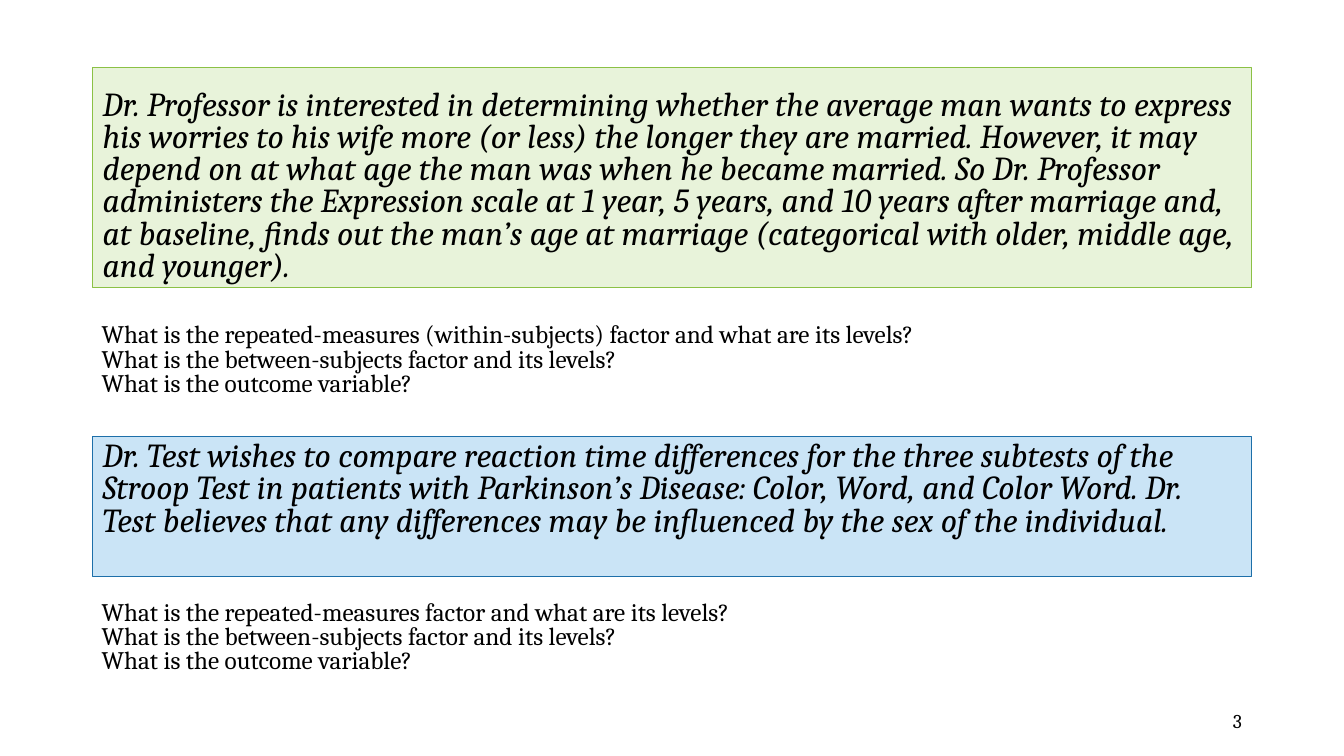
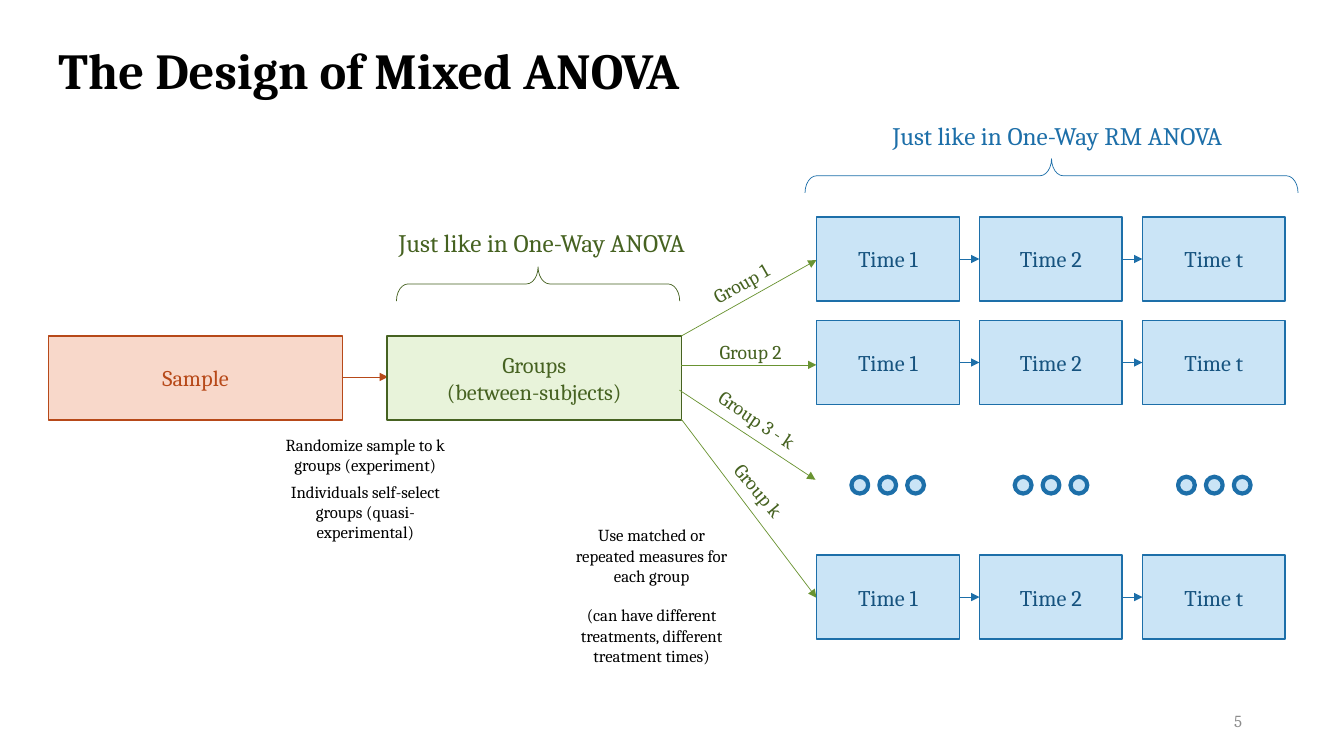
from dataclasses import dataclass
from pptx import Presentation
from pptx import util as u
from pptx.dml import color
from pptx.enum import shapes, text
from pptx.oxml import ns, xmlchemy

KIND = shapes.MSO_SHAPE
LEFT, CENTER, RIGHT = text.PP_ALIGN.LEFT, text.PP_ALIGN.CENTER, text.PP_ALIGN.RIGHT
TOP, MIDDLE = text.MSO_ANCHOR.TOP, text.MSO_ANCHOR.MIDDLE


@dataclass(frozen=True)
class Theme:
    # Colours
    black: str = "000000"
    grey: str = "8C8C8C"
    orange: str = "B74919"
    orange_pale: str = "F8D8CA"
    green: str = "8BC145"
    green_mid: str = "699331"
    green_dark: str = "466221"
    green_pale: str = "E8F3DA"
    blue: str = "1D6FA9"
    blue_dark: str = "16537F"
    blue_pale: str = "CAE4F6"
    # Type sizes
    font: str = "Cambria"
    title: int = 36
    case: int = 24
    body: int = 18
    box: int = 16
    label: int = 14
    note: int = 12


THEME = Theme()


def rgb(value):
    return color.RGBColor.from_string(value)


def assign(target, values):
    for name, value in values.items():
        setattr(target, name, value)


class Builder:
    """Holds the style and current page; lengths are cells of a 40 by 22.5 grid."""

    COLUMNS, ROWS = 40, 22.5

    def __init__(self, theme):
        self.theme = theme
        self.deck = Presentation()
        self.deck.slide_width, self.deck.slide_height = u.Inches(13.33), u.Inches(7.5)
        self.page = None

    def place(self, x, y):
        return (round(x * self.deck.slide_width / self.COLUMNS),
                round(y * self.deck.slide_height / self.ROWS))

    def area(self, at):
        return self.place(*at[:2]) + self.place(*at[2:])

    def new_page(self, number, title=None, number_format=None):
        self.page = self.deck.slides.add_slide(self.deck.slide_layouts[5 if title else 6])
        if title:
            box = self.page.shapes.title
            assign(box, dict(zip(("left", "top", "width", "height"),
                                 self.area((1.44, 1, 22.8, 2.13)))))
            self.fill_text(box, [title], self.theme.title, bold=True, wrap=False,
                           anchor=MIDDLE)
        self.text((28.26, 20.85, 9, 1.2), [number], align=RIGHT, anchor=MIDDLE,
                  **(number_format or {"size": self.theme.label}))

    def fill_text(self, box, lines, size, tint=None, align=LEFT, anchor=TOP, wrap=True,
                  spacing=None, gap=0, inset=0.05, **style):
        frame = box.text_frame
        assign(frame, {"word_wrap": wrap, "vertical_anchor": anchor,
                       "auto_size": text.MSO_AUTO_SIZE.NONE, "margin_top": u.Inches(inset)})
        for index, line in enumerate(lines):
            para = frame.add_paragraph() if index else frame.paragraphs[0]
            assign(para, {"alignment": align, "line_spacing": spacing,
                          "space_before": u.Pt(gap if index else 0)})
            span = para.add_run()
            span.text = line
            assign(span.font, {"name": self.theme.font, "size": u.Pt(size), **style})
            span.font.color.rgb = rgb(tint or self.theme.black)

    def text(self, at, lines, size, turn=0, **options):
        box = self.page.shapes.add_textbox(*self.area(at))
        box.rotation = turn
        self.fill_text(box, lines, size, **options)

    def shape(self, at, fill, line, weight, kind=KIND.RECTANGLE):
        box = self.page.shapes.add_shape(kind, *self.area(at))
        box.shadow.inherit = False
        if fill:
            box.fill.solid()
            box.fill.fore_color.rgb = rgb(fill)
        else:
            box.fill.background()
        box.line.color.rgb, box.line.width = rgb(line), u.Pt(weight)
        return box

    def case_box(self, top, height, fill, line, wording, inset=0.05):
        box = self.shape((2.76, top, 34.5, height), fill, line, 0.75)
        self.fill_text(box, [wording], self.theme.case, spacing=0.8, inset=inset, italic=True)

    def questions(self, top, lines):
        self.text((2.73, top, 32, 2.49), lines, self.theme.body, spacing=0.8)

    def node(self, x, y, width, lines, fill, line, tint):
        box = self.shape((x, y, width, 2.5), fill, line, 1)
        self.fill_text(box, lines, self.theme.box, tint=tint, align=CENTER, anchor=MIDDLE)

    def arrow(self, start, end, tint):
        line = self.page.shapes.add_connector(shapes.MSO_CONNECTOR.STRAIGHT,
                                              *self.place(*start), *self.place(*end))
        line.line.color.rgb, line.line.width = rgb(tint), u.Pt(0.5)
        head = xmlchemy.OxmlElement("a:tailEnd")
        head.set("type", "triangle")
        properties = line.element.find(ns.qn("p:spPr"))
        properties.find(ns.qn("a:ln")).append(head)
        properties.append(xmlchemy.OxmlElement("a:effectLst"))

    def brace(self, left, top, width, tint):
        depth = 1.02
        shift = (width - depth) / 2
        box = self.shape((left + shift, top - shift, depth, width), None, tint, 0.5,
                         KIND.RIGHT_BRACE)
        box.rotation = 270
        box.adjustments[0] = 0.34


show = Builder(THEME)

# Practice cases
show.new_page("3")
show.case_box(2, 6.57, THEME.green_pale, THEME.green,
              "Dr. Professor is interested in determining whether the average man wants to "
              "express his worries to his wife more (or less) the longer they are married. "
              "However, it may depend on at what age the man was when he became married. So "
              "Dr. Professor administers the Expression scale at 1 year, 5 years, and 10 "
              "years after marriage and, at baseline, finds out the man’s age at marriage "
              "(categorical with older, middle age, and younger).", inset=0.23)
show.case_box(13, 4.17, THEME.blue_pale, THEME.blue,
              "Dr. Test wishes to compare reaction time differences for the three subtests "
              "of the Stroop Test in patients with Parkinson’s Disease: Color, Word, and "
              "Color Word. Dr. Test believes that any differences may be influenced by the "
              "sex of the individual.")
for top, factor in ((9.51, "repeated-measures (within-subjects)"),
                    (17.76, "repeated-measures")):
    show.questions(top, [f"What is the {factor} factor and what are its levels?",
                         "What is the between-subjects factor and its levels?",
                         "What is the outcome variable?"])

# Design diagram
show.new_page("5", "The Design of Mixed ANOVA",
              {"size": THEME.note, "tint": THEME.grey})

# Sample and groups
show.node(1.44, 10, 8.76, ["Sample"], THEME.orange_pale, THEME.orange, THEME.orange)
show.arrow((10.17, 11.22), (11.55, 11.22), THEME.orange)
show.node(11.52, 10, 8.76, ["Groups", "(between-subjects)"],
          THEME.green_pale, THEME.green_dark, THEME.green_dark)

# Branches to each group
branches = (
    ("Group 1", (20.28, 10), (24.3, 7.74), (20.85, 7.86, 2.67, 1.02), 330.5),
    ("Group 2", (20.28, 10.86), (24.3, 10.86), (21.12, 9.96, 2.73, 1.02), 0),
    ("Group 3 - k", (20.22, 11.61), (24.27, 14.28), (20.91, 12.09, 3.54, 1.02), 34),
    ("Group k", (20.28, 12.48), (24.3, 17.79), (21.3, 14.19, 2.73, 1.02), 50.2),
)
for name, start, end, at, turn in branches:
    show.arrow(start, end, THEME.green_mid)
    show.text(at, [name], THEME.label, turn, tint=THEME.green_dark, wrap=False)

# Time points of each group
FIRST, STEP, WIDTH = 24.3, 4.85, 4.25
for top in (6.46, 9.54, 16.52):
    for column, moment in enumerate(("Time 1", "Time 2", "Time t")):
        left, middle = FIRST + column * STEP, top + 1.25
        show.node(left, top, WIDTH, [moment], THEME.blue_pale, THEME.blue, THEME.blue_dark)
        if column:
            show.arrow((left - STEP + WIDTH, middle), (left, middle), THEME.blue)

# Dots for the groups between
for column in range(3):
    for dot in range(3):
        show.shape((25.34 + column * 4.86 + dot * 0.83, 14.19, 0.5, 0.5),
                   THEME.blue_pale, THEME.blue, 3, KIND.OVAL)

# Notes
show.text((8.16, 12.78, 5.43, 4.14),
          ["Randomize sample to k groups (experiment)",
           "Individuals self-select groups (quasi-experimental)"],
          THEME.note, align=CENTER, gap=5)
show.text((16.68, 15.48, 5.43, 4.53),
          ["Use matched or repeated measures for each group",
           "(can have different treatments, different treatment times)"],
          THEME.note, align=CENTER, gap=14)

# Braces with captions
for brace, at, caption, tint in (
    ((23.96, 4.72, 14.67), (25.53, 3.42, 11.88, 1.2),
     "Just like in One-Way RM ANOVA", THEME.blue),
    ((11.8, 7.94, 8.43), (10.89, 6.63, 10.47, 1.2),
     "Just like in One-Way ANOVA", THEME.green_dark),
):
    show.brace(*brace, tint)
    show.text(at, [caption], THEME.body, tint=tint, align=CENTER, wrap=False)

show.deck.save("out.pptx")
